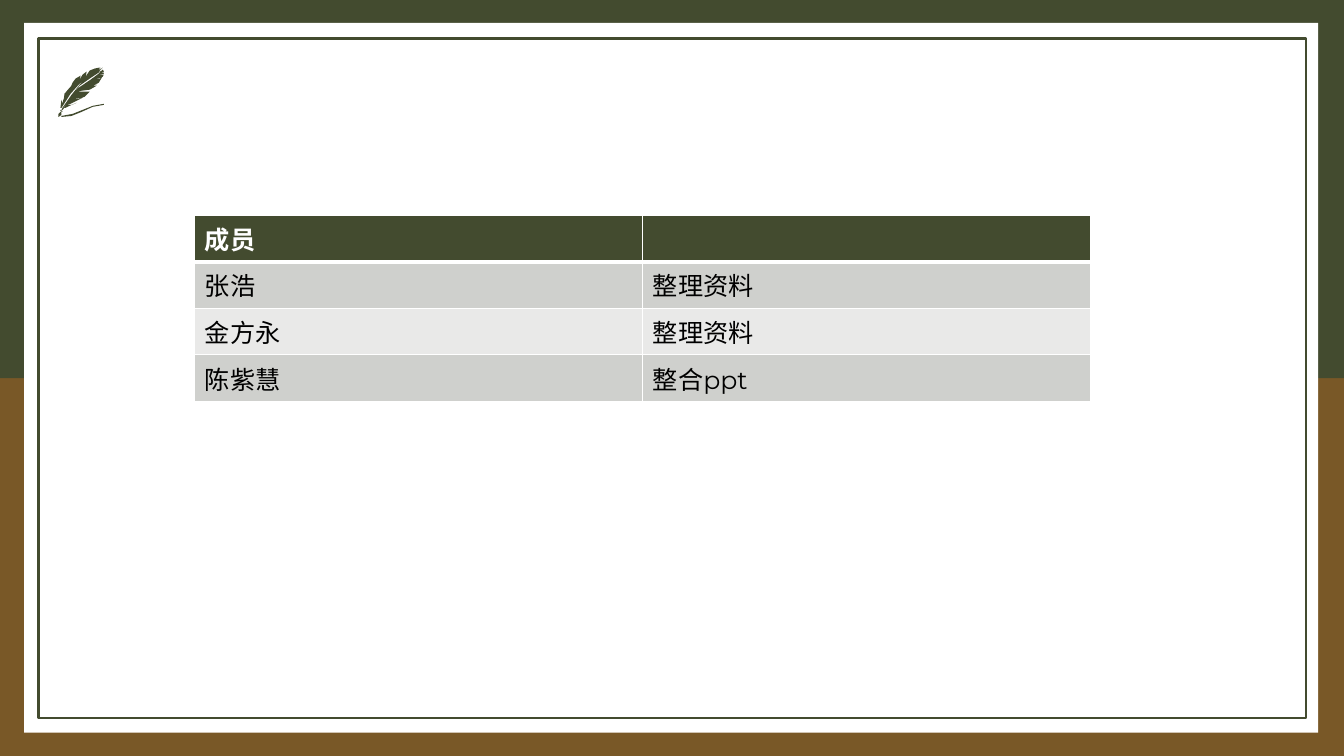
import pptx
import pptx.util
import pptx.dml.color
import pptx.enum.shapes
import lxml.etree

Cm = pptx.util.Cm
Pt = pptx.util.Pt

FONT = "Montserrat"
HUES = {"green": "434B2F", "brown": "795827", "white": "FFFFFF",
        "black": "000000", "dark": "CFD0CD", "light": "E9E9E8"}

ROWS = [("成员", ""), ("张浩", "整理资料"), ("金方永", "整理资料"), ("陈紫慧", "整合ppt")]

PANELS = [
    ((0, 9.53, 33.87, 9.52), "brown", None),
    ((0, 0, 33.87, 9.53), "green", None),
    ((0.61, 0.58, 32.61, 17.88), "white", None),
    ((0.97, 0.97, 31.95, 17.12), None, "green"),
]

QUILL = [
    [(60, 111), (61, 111), (61, 114), (58, 116), (58, 113)],
    [(60, 109), (62, 110), (62, 111), (60, 110)],
    [(103, 103), (103, 104), (92, 106), (81, 111), (71, 115), (61, 116),
     (61, 115), (72, 113), (82, 109), (92, 105)],
    [(101, 70), (89, 78), (79, 85), (70, 96), (63, 108), (62, 109), (61, 109),
     (62, 107), (71, 94), (80, 83), (87, 78), (95, 73)],
    [(102, 69), (103, 71), (100, 73), (103, 72), (103, 73), (97, 75), (103, 74),
     (102, 76), (99, 78), (94, 78), (101, 77), (98, 82), (93, 84), (97, 83),
     (92, 85), (96, 85), (89, 89), (81, 90), (76, 91), (81, 91), (89, 91),
     (84, 96), (81, 97), (73, 98), (78, 98), (82, 97), (70, 103), (66, 104),
     (71, 104), (76, 102), (69, 105), (65, 107), (63, 107), (70, 96),
     (78, 87), (90, 79), (98, 73)],
    [(99, 67), (97, 71), (100, 67), (98, 70), (102, 67), (98, 71), (94, 74),
     (79, 83), (70, 93), (61, 107), (60, 107), (61, 99), (62, 103), (63, 98),
     (63, 101), (64, 93), (70, 86), (71, 90), (70, 87), (72, 82), (75, 78),
     (80, 75), (79, 79), (82, 74), (86, 71), (85, 76), (89, 70), (94, 68)],
]


def hue(name):
    return pptx.dml.color.RGBColor.from_string(HUES[name])


def paint(shape, fill, line):
    shape.shadow.inherit = False
    if fill:
        shape.fill.solid()
        shape.fill.fore_color.rgb = hue(fill)
    else:
        shape.fill.background()
    if line:
        shape.line.color.rgb = hue(line)
        shape.line.width = Pt(1.5)
    else:
        shape.line.fill.background()


def edge(cell, sides):
    props = cell._tc.get_or_add_tcPr()
    for spot, (side, width) in enumerate(sides.items()):
        line = pptx.oxml.parse_xml(
            '<a:ln%s xmlns:a="http://schemas.openxmlformats.org/drawingml/2006/main" w="%d">'
            '<a:solidFill><a:srgbClr val="%s"/></a:solidFill></a:ln%s>'
            % (side, Pt(width), HUES["white"], side))
        props.insert(spot, line)


deck = pptx.Presentation()
deck.slide_width, deck.slide_height = Cm(33.87), Cm(19.05)
slide = deck.slides.add_slide(deck.slide_layouts[6])
shapes = slide.shapes

for box, fill, line in PANELS:
    panel = shapes.add_shape(pptx.enum.shapes.MSO_SHAPE.RECTANGLE, *map(Cm, box))
    paint(panel, fill, line)

pen = shapes.build_freeform(*QUILL[0][0], scale=Cm(0.0254))
for part in QUILL:
    pen.move_to(*part[0])
    pen.add_line_segments(part[1:], close=True)
paint(pen.convert_to_shape(), "green", None)

frame = shapes.add_table(len(ROWS), 2, Cm(4.91), Cm(5.42), Cm(22.58), Cm(4.12))
table = frame.table
for row, texts in enumerate(ROWS):
    head = row == 0
    for col, text in enumerate(texts):
        cell = table.cell(row, col)
        cell.fill.solid()
        cell.fill.fore_color.rgb = hue("green" if head else "dark" if row % 2 else "light")
        edge(cell, {"L": 1, "R": 1, "T": 3 if row == 1 else 1, "B": 3 if head else 1})
        para = cell.text_frame.paragraphs[0]
        para.font.size = Pt(18)
        if text:
            run = para.add_run()
            run.text = text
            run.font.name = FONT
            run.font.size = Pt(18)
            run.font.bold = head
            run.font.color.rgb = hue("white" if head else "black")

deck.save("out.pptx")
